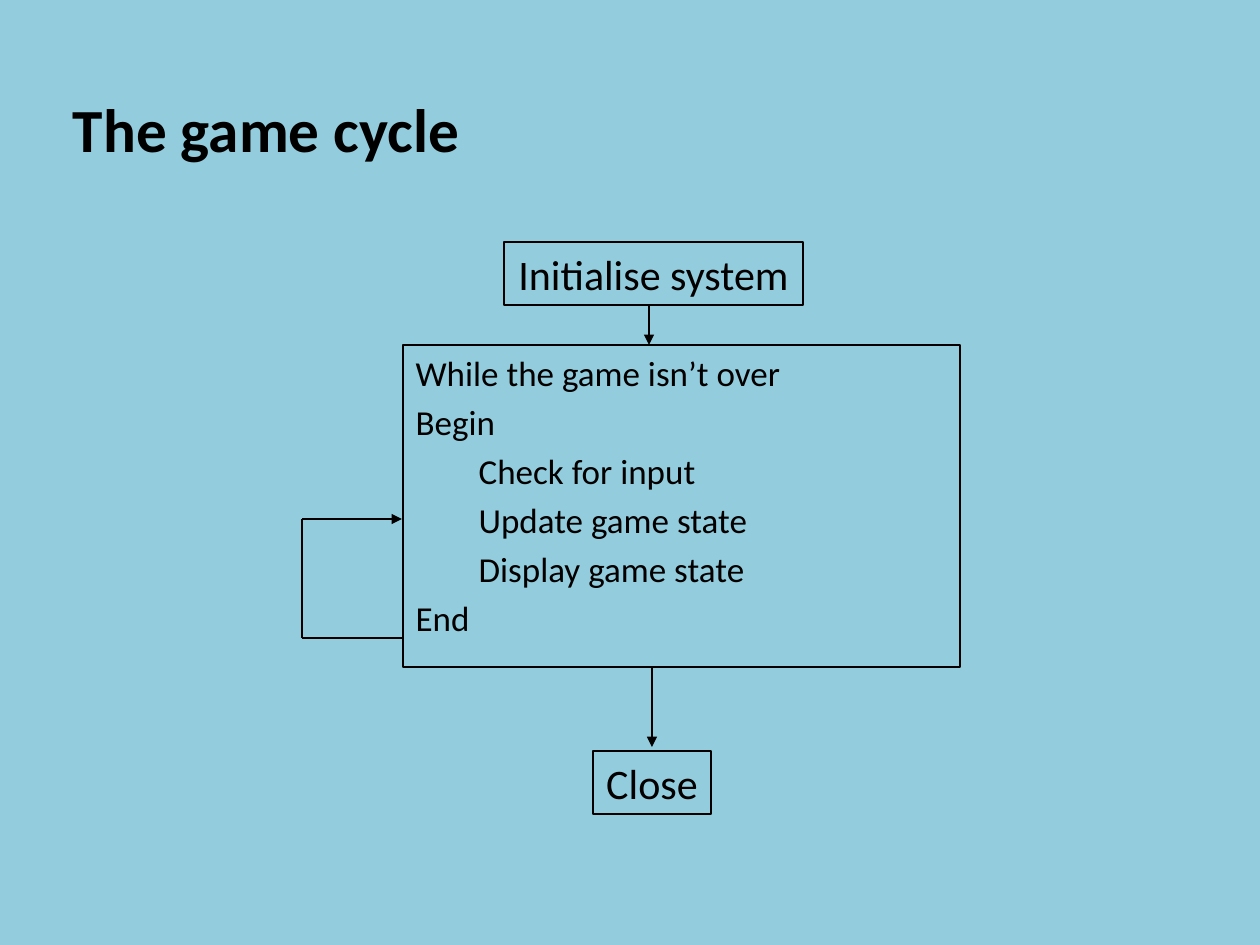
from dataclasses import dataclass

import pptx
import pptx.dml.color
import pptx.enum.shapes
import pptx.enum.text
import pptx.oxml.ns
import pptx.util
from lxml import etree

PX_PER_INCH = 126
ANCHOR = pptx.enum.text.MSO_ANCHOR
ALIGN = pptx.enum.text.PP_ALIGN
AUTO_SIZE = pptx.enum.text.MSO_AUTO_SIZE


def px(length):
    return pptx.util.Emu(round(length * 914400 / PX_PER_INCH))


def apply_format(target, values):
    for attribute, value in values.items():
        setattr(target, attribute, value)


def add_xml(parent, tag, **attributes):
    return etree.SubElement(parent, pptx.oxml.ns.qn(tag), attributes)


@dataclass(frozen=True)
class Theme:
    background: str = "93CDDD"
    ink: str = "000000"
    font: str = "Calibri"
    title_size: int = 35
    step_size: int = 24
    code_size: int = 20
    code_gap: int = 4
    line_width: float = 0.75
    indent: int = 63


class FlowSlide:
    """Draws flowchart elements on one slide in one theme."""

    def __init__(self, presentation, theme):
        self.theme = theme
        self.slide = presentation.slides.add_slide(presentation.slide_layouts[1])
        fill = self.slide.background.fill
        fill.solid()
        fill.fore_color.rgb = self.color(theme.background)

    @staticmethod
    def color(value):
        return pptx.dml.color.RGBColor.from_string(value)

    def place(self, shape, left, top, width, height):
        box = {"left": left, "top": top, "width": width, "height": height}
        apply_format(shape, {side: px(length) for side, length in box.items()})

    def outline(self, shape):
        shape.line.color.rgb = self.color(self.theme.ink)
        shape.line.width = pptx.util.Pt(self.theme.line_width)

    def set_text(self, paragraph, text, size, bold=False):
        paragraph.text = text
        apply_format(paragraph.font, {
            "name": self.theme.font, "size": pptx.util.Pt(size), "bold": bold})
        paragraph.font.color.rgb = self.color(self.theme.ink)

    def indent(self, paragraph, level):
        """Set a plain left margin for the level, with no bullet."""
        paragraph.level = level
        properties = paragraph._p.get_or_add_pPr()
        properties.set("marL", str(px(level * self.theme.indent)))
        properties.set("indent", "0")
        properties.insert_element_before(
            etree.SubElement(properties, pptx.oxml.ns.qn("a:buNone")), "a:defRPr")

    def title(self, text, *box):
        heading = self.slide.shapes.title
        self.place(heading, *box)
        apply_format(heading.text_frame, {
            "vertical_anchor": ANCHOR.BOTTOM, "auto_size": AUTO_SIZE.NONE,
            "margin_left": px(9), "margin_bottom": px(5)})
        paragraph = heading.text_frame.paragraphs[0]
        self.set_text(paragraph, text, self.theme.title_size, bold=True)
        self.indent(paragraph, 1)
        paragraph.alignment = ALIGN.LEFT

    def code(self, lines, *box):
        listing = self.slide.placeholders[1]
        self.place(listing, *box)
        self.outline(listing)
        frame = listing.text_frame
        apply_format(frame, {"vertical_anchor": ANCHOR.TOP,
                             "auto_size": AUTO_SIZE.NONE})
        for number, (level, text) in enumerate(lines):
            paragraph = frame.add_paragraph() if number else frame.paragraphs[0]
            self.set_text(paragraph, text, self.theme.code_size)
            paragraph.space_before = pptx.util.Pt(self.theme.code_gap)
            self.indent(paragraph, level)

    def step(self, text, *box):
        step = self.slide.shapes.add_shape(
            pptx.enum.shapes.MSO_SHAPE.RECTANGLE, *map(px, box))
        step.shadow.inherit = False
        step.fill.background()
        self.outline(step)
        apply_format(step.text_frame, {
            "word_wrap": False, "vertical_anchor": ANCHOR.MIDDLE})
        paragraph = step.text_frame.paragraphs[0]
        self.set_text(paragraph, text, self.theme.step_size)
        paragraph.alignment = ALIGN.CENTER

    def arrow(self, *points):
        """Join the points by straight lines, with a head at the last one."""
        for start, end in zip(points, points[1:]):
            segment = self.slide.shapes.add_connector(
                pptx.enum.shapes.MSO_CONNECTOR.STRAIGHT, *map(px, start + end))
            self.outline(segment)
            add_xml(segment._element.spPr, "a:effectLst")
        add_xml(segment.line._get_or_add_ln(), "a:tailEnd", type="triangle")


def main():
    presentation = pptx.Presentation()
    apply_format(presentation, {"slide_width": px(1260), "slide_height": px(945)})

    cycle = FlowSlide(presentation, Theme())
    cycle.title("The game cycle", 1, 1, 1260, 169)
    cycle.code([
        (0, "While the game isn’t over"),
        (0, "Begin"),
        (1, "Check for input"),
        (1, "Update game state"),
        (1, "Display game state"),
        (0, "End"),
    ], 403, 345, 557, 322)
    cycle.step("Initialise system", 504, 242, 299, 63)
    cycle.step("Close", 593, 751, 118, 63)
    cycle.arrow((402, 638), (302, 638), (302, 519), (402, 519))
    cycle.arrow((649, 305), (649, 345))
    cycle.arrow((652, 667), (652, 747))

    presentation.save("out.pptx")


if __name__ == "__main__":
    main()
